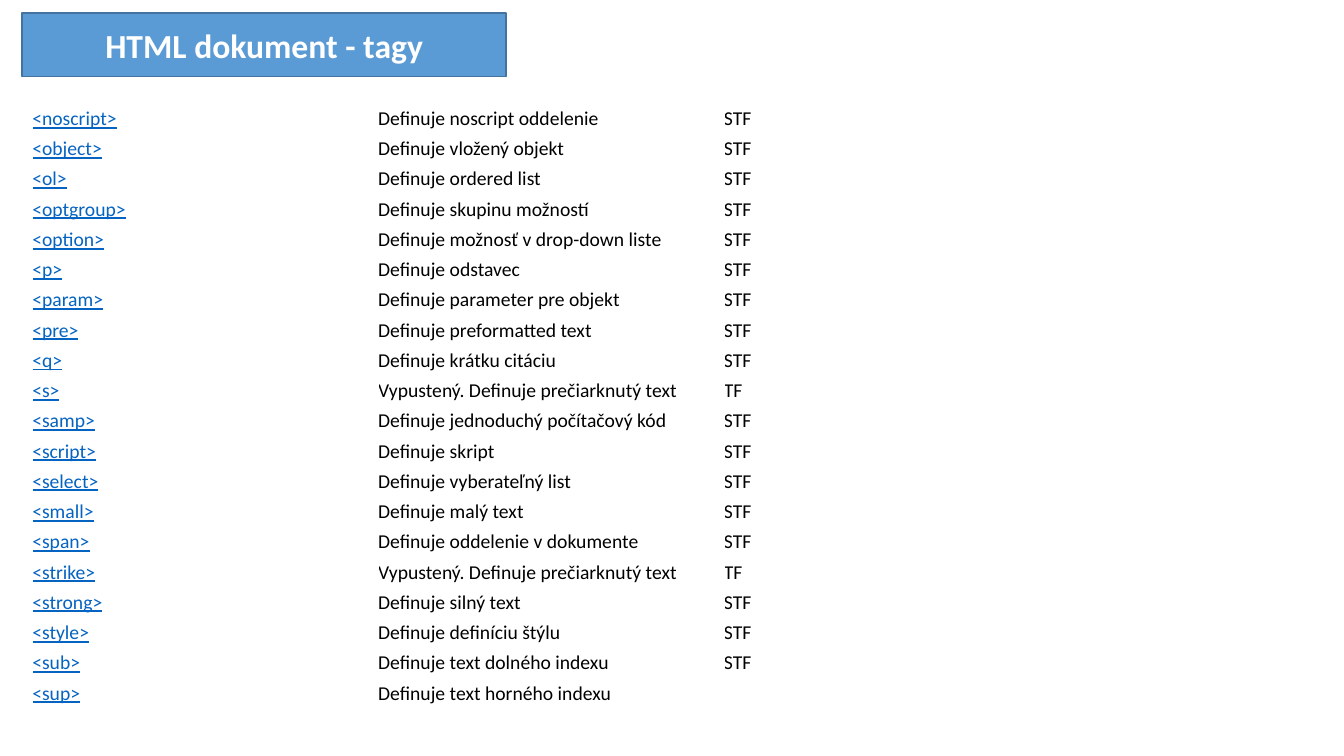
from pptx import Presentation
from pptx.dml.color import RGBColor
from pptx.enum.text import MSO_ANCHOR, MSO_AUTO_SIZE, PP_ALIGN
from pptx.util import Inches, Pt

CENTER = PP_ALIGN.CENTER
MIDDLE = MSO_ANCHOR.MIDDLE
NO_AUTOFIT = MSO_AUTO_SIZE.NONE

FONT = "Calibri"
BLUE = RGBColor(0x5B, 0x9B, 0xD5)
DARK_BLUE = RGBColor(0x43, 0x73, 0x9E)
LINK_BLUE = RGBColor(0x05, 0x63, 0xC1)
BLACK = RGBColor(0, 0, 0)
WHITE = RGBColor(0xFF, 0xFF, 0xFF)

COLUMN_WIDTH = 3.43
ROW_HEIGHT = 0.3

TAGS = [
    ("<noscript>", "Definuje noscript oddelenie", "STF"),
    ("<object>", "Definuje vložený objekt", "STF"),
    ("<ol>", "Definuje ordered list", "STF"),
    ("<optgroup>", "Definuje skupinu možností", "STF"),
    ("<option>", "Definuje možnosť v drop-down liste", "STF"),
    ("<p>", "Definuje odstavec", "STF"),
    ("<param>", "Definuje parameter pre objekt", "STF"),
    ("<pre>", "Definuje preformatted text", "STF"),
    ("<q>", "Definuje krátku citáciu", "STF"),
    ("<s>", "Vypustený. Definuje prečiarknutý text", "TF"),
    ("<samp>", "Definuje jednoduchý počítačový kód", "STF"),
    ("<script>", "Definuje skript", "STF"),
    ("<select>", "Definuje vyberateľný list", "STF"),
    ("<small>", "Definuje malý text", "STF"),
    ("<span>", "Definuje oddelenie v dokumente", "STF"),
    ("<strike>", "Vypustený. Definuje prečiarknutý text", "TF"),
    ("<strong>", "Definuje silný text", "STF"),
    ("<style>", "Definuje definíciu štýlu", "STF"),
    ("<sub>", "Definuje text dolného indexu", "STF"),
    ("<sup>", "Definuje text horného indexu", ""),
]


def add_run(paragraph, text, size, color, bold=False, underline=False):
    run = paragraph.add_run()
    run.text = text
    run.font.name = FONT
    run.font.size = Pt(size)
    run.font.color.rgb = color
    run.font.bold = bold
    run.font.underline = underline


def format_title(title, text):
    title.left, title.top = Inches(0.22), Inches(0.13)
    title.width, title.height = Inches(4.8), Inches(0.63)
    title.fill.solid()
    title.fill.fore_color.rgb = BLUE
    title.line.color.rgb = DARK_BLUE
    title.line.width = Pt(1)
    frame = title.text_frame
    frame.auto_size = NO_AUTOFIT
    frame.vertical_anchor = MIDDLE
    paragraph = frame.paragraphs[0]
    paragraph.alignment = CENTER
    add_run(paragraph, text, 24, WHITE, bold=True)


def fill_cell(cell, text, is_tag):
    cell.fill.background()
    cell.margin_left = cell.margin_right = 0
    cell.margin_top = cell.margin_bottom = 0
    if text:
        color = LINK_BLUE if is_tag else BLACK
        add_run(cell.text_frame.paragraphs[0], text, 14, color, underline=is_tag)


def add_tag_table(slide, rows):
    column_count = len(rows[0])
    table = slide.shapes.add_table(
        len(rows), column_count, Inches(0.32), Inches(1.06),
        Inches(COLUMN_WIDTH * column_count), Inches(ROW_HEIGHT * len(rows)),
    ).table
    table.first_row = False
    table.horz_banding = False
    for column in table.columns:
        column.width = Inches(COLUMN_WIDTH)
    for row, texts in zip(table.rows, rows):
        row.height = Inches(ROW_HEIGHT)
        for index, (cell, text) in enumerate(zip(row.cells, texts)):
            fill_cell(cell, text, is_tag=index == 0)


def main():
    presentation = Presentation()
    presentation.slide_width = Inches(13.33)
    presentation.slide_height = Inches(7.5)
    title_only = presentation.slide_layouts.get_by_name("Title Only")
    slide = presentation.slides.add_slide(title_only)
    format_title(slide.shapes.title, "HTML dokument - tagy")
    add_tag_table(slide, TAGS)
    presentation.save("out.pptx")


if __name__ == "__main__":
    main()
